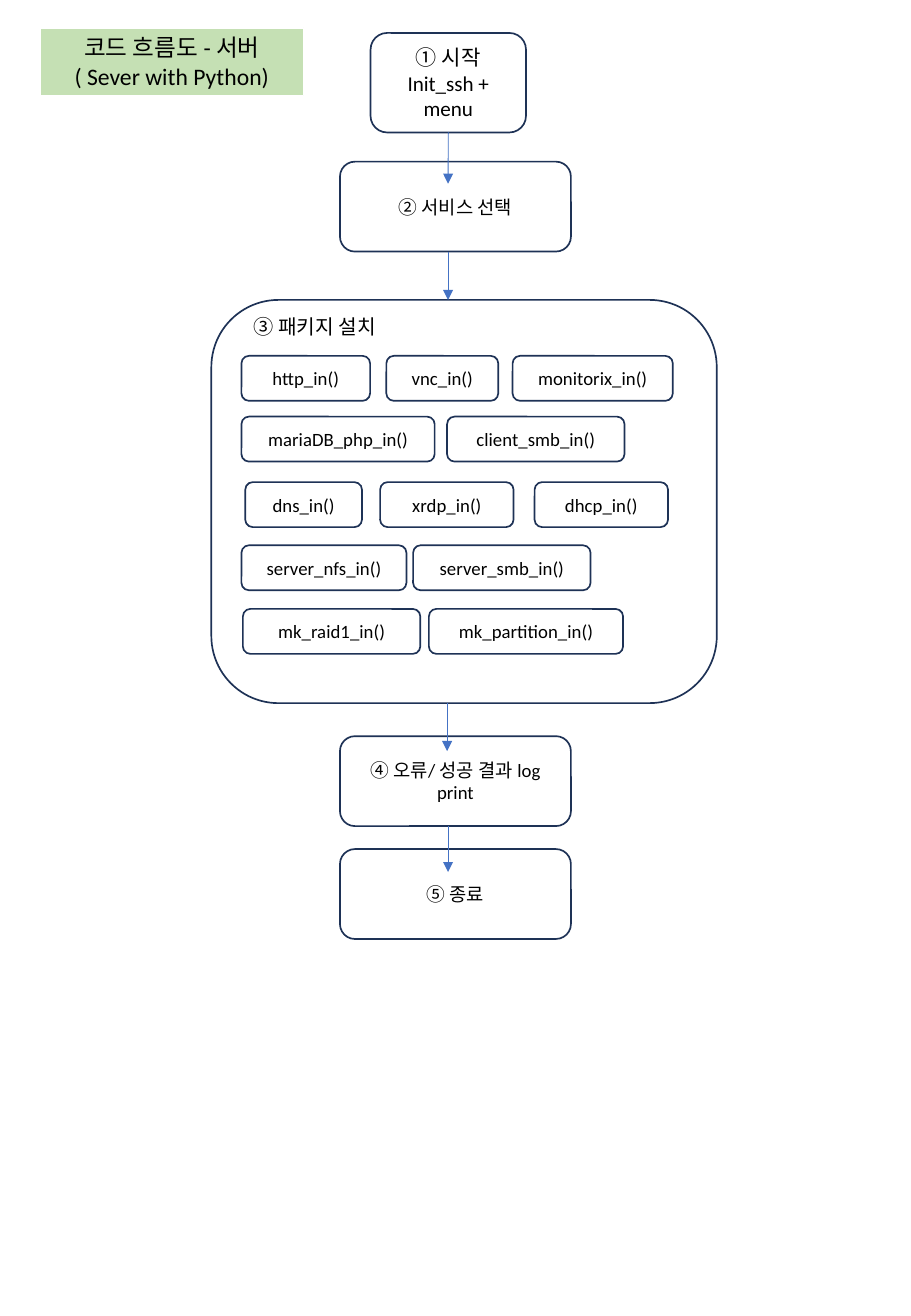
from dataclasses import dataclass
from itertools import pairwise

from lxml.etree import SubElement
from pptx import Presentation
from pptx.dml.color import RGBColor as Rgb
from pptx.enum.shapes import MSO_CONNECTOR as Line, MSO_SHAPE as Shape
from pptx.enum.text import MSO_ANCHOR as Anchor, MSO_AUTO_SIZE as AutoSize, PP_ALIGN as Align
from pptx.oxml.ns import qn
from pptx.util import Cm, Pt


@dataclass(frozen=True)
class Theme:
    font: str = "Calibri"
    text: Rgb = Rgb(0, 0, 0)
    banner: Rgb = Rgb(0xC5, 0xE0, 0xB4)
    banner_edge: Rgb = Rgb(0xFF, 0xFF, 0xFF)
    edge: Rgb = Rgb(0x1E, 0x32, 0x56)
    arrow: Rgb = Rgb(0x44, 0x72, 0xC4)
    title_size: float = 14
    start_size: float = 12.5
    label_size: float = 12
    body_size: float = 11.1
    edge_width: float = 1
    arrow_width: float = 0.5


THEME = Theme()

TITLE = ["코드 흐름도 - 서버", "( Sever with Python)"]
TITLE_AREA = (0.84, 0.58, 5.51, 1.42)

STEPS = [
    (["① 시작", "Init_ssh + menu"], (7.75, 0.69, 3.25, 2.08), THEME.start_size),
    (["② 서비스 선택"], (7.11, 3.38, 4.83, 1.88), THEME.body_size),
    ([], (4.42, 6.27, 10.57, 8.43), THEME.body_size),
    (["④ 오류/ 성공 결과 log print"], (7.11, 15.39, 4.83, 1.88), THEME.body_size),
    (["⑤ 종료"], (7.11, 17.75, 4.83, 1.88), THEME.body_size),
]
ARROWS = [(9.37, 0.46), (9.37, 0), (9.35, 0.31), (9.37, 0.48)]

PACKAGE_LABEL = "③ 패키지 설치"
LABEL_AREA = (5.05, 6.45, 3.48, 0.76)
PACKAGE_HEIGHT = 0.94
PACKAGE_ROWS = [
    (7.44, [("http_in()", 5.05, 2.69), ("vnc_in()", 8.08, 2.34), ("monitorix_in()", 10.72, 3.35)]),
    (8.71, [("mariaDB_php_in()", 5.05, 4.04), ("client_smb_in()", 9.35, 3.71)]),
    (10.08, [("dns_in()", 5.13, 2.44), ("xrdp_in()", 7.95, 2.79), ("dhcp_in()", 11.18, 2.79)]),
    (11.4, [("server_nfs_in()", 5.05, 3.45), ("server_smb_in()", 8.64, 3.71)]),
    (12.73, [("mk_raid1_in()", 5.08, 3.71), ("mk_partition_in()", 8.97, 4.06)]),
]


def write(frame, lines, size, align=Align.CENTER):
    frame.text = "\n".join(lines)
    for paragraph in frame.paragraphs:
        paragraph.alignment = align
        paragraph.font.name = THEME.font
        paragraph.font.size = Pt(size)
        paragraph.font.color.rgb = THEME.text


def draw_line(line, color, width):
    line.color.rgb = color
    line.width = Pt(width)


def add_box(slide, lines, area, size):
    box = slide.shapes.add_shape(Shape.ROUNDED_RECTANGLE, *map(Cm, area))
    box.shadow.inherit = False
    box.fill.background()
    draw_line(box.line, THEME.edge, THEME.edge_width)
    if lines:
        box.text_frame.vertical_anchor = Anchor.MIDDLE
        write(box.text_frame, lines, size)
    return box


def add_arrow(slide, x, top, bottom):
    arrow = slide.shapes.add_connector(Line.STRAIGHT, Cm(x), top, Cm(x), bottom)
    draw_line(arrow.line, THEME.arrow, THEME.arrow_width)
    properties = arrow.element.spPr
    SubElement(properties.find(qn("a:ln")), qn("a:tailEnd"), type="triangle")
    SubElement(properties, qn("a:effectLst"))
    return arrow


def add_title(slide):
    title = slide.shapes.title
    title.left, title.top, title.width, title.height = map(Cm, TITLE_AREA)
    title.fill.solid()
    title.fill.fore_color.rgb = THEME.banner
    draw_line(title.line, THEME.banner_edge, THEME.edge_width)
    title.text_frame.auto_size = AutoSize.NONE
    title.text_frame.vertical_anchor = Anchor.MIDDLE
    write(title.text_frame, TITLE, THEME.title_size)


def add_packages(slide):
    label = slide.shapes.add_textbox(*map(Cm, LABEL_AREA))
    label.text_frame.word_wrap = False
    write(label.text_frame, [PACKAGE_LABEL], THEME.label_size, Align.LEFT)
    for top, packages in PACKAGE_ROWS:
        for name, left, width in packages:
            add_box(slide, [name], (left, top, width, PACKAGE_HEIGHT), THEME.body_size)


def main():
    deck = Presentation()
    deck.slide_width, deck.slide_height = Cm(19.05), Cm(27.51)
    slide = deck.slides.add_slide(deck.slide_layouts[5])
    add_title(slide)
    steps = [add_box(slide, *step) for step in STEPS]
    add_packages(slide)
    arrows = [
        add_arrow(slide, x, step.top + step.height, following.top + Cm(overlap))
        for (step, following), (x, overlap) in zip(pairwise(steps), ARROWS)
    ]
    arrows[0].begin_connect(steps[0], 2)
    deck.save("out.pptx")


if __name__ == "__main__":
    main()
